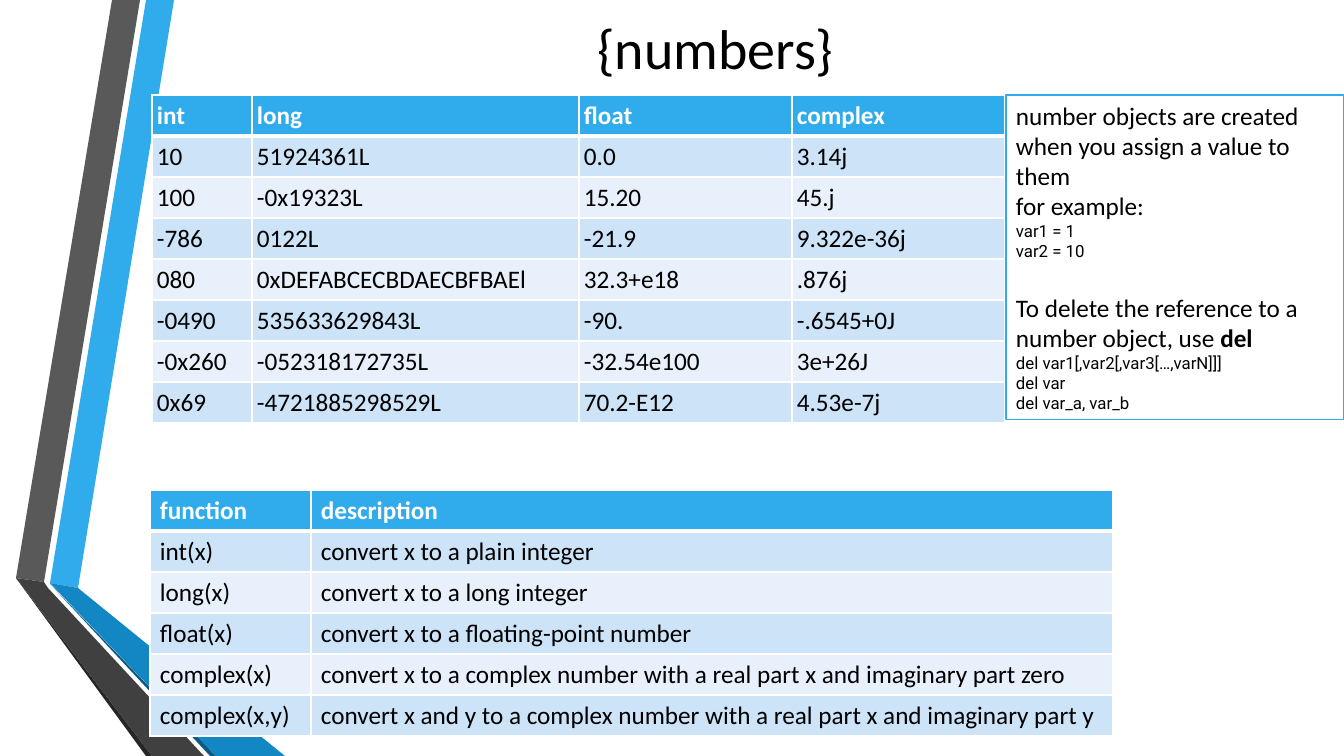
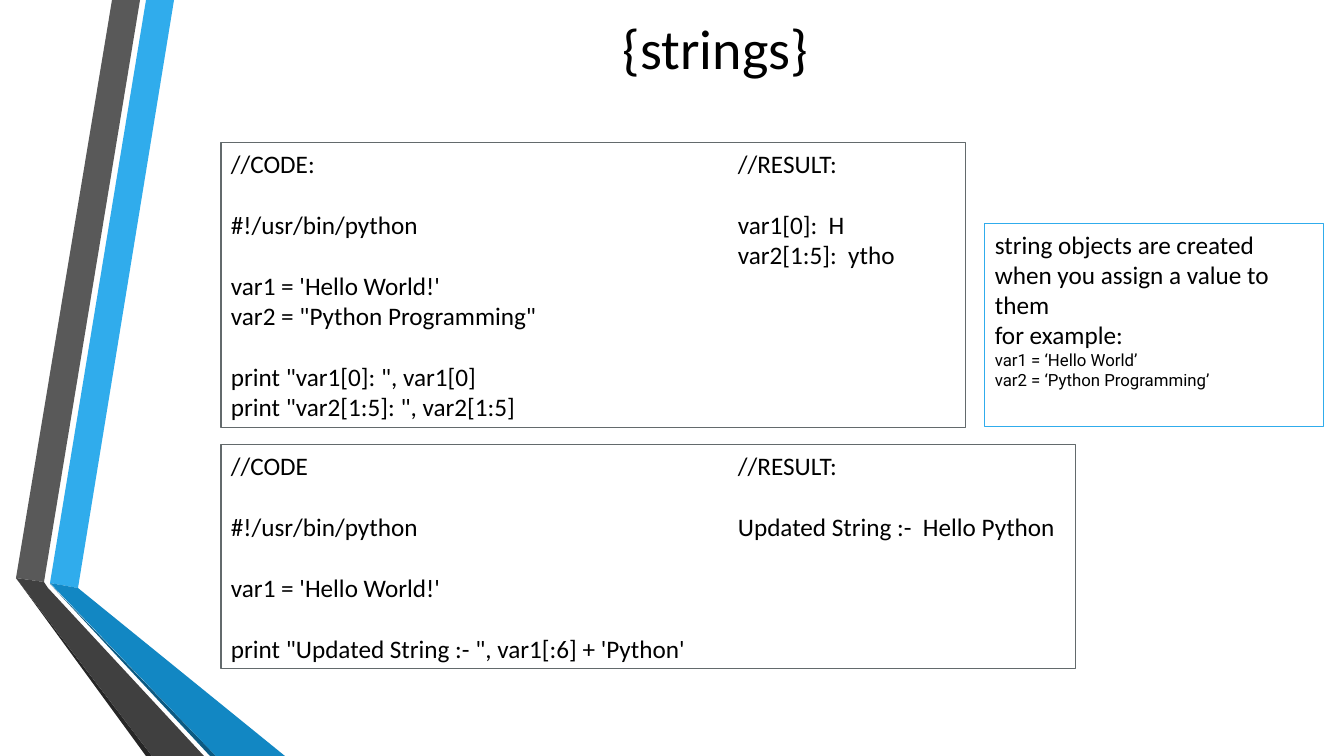
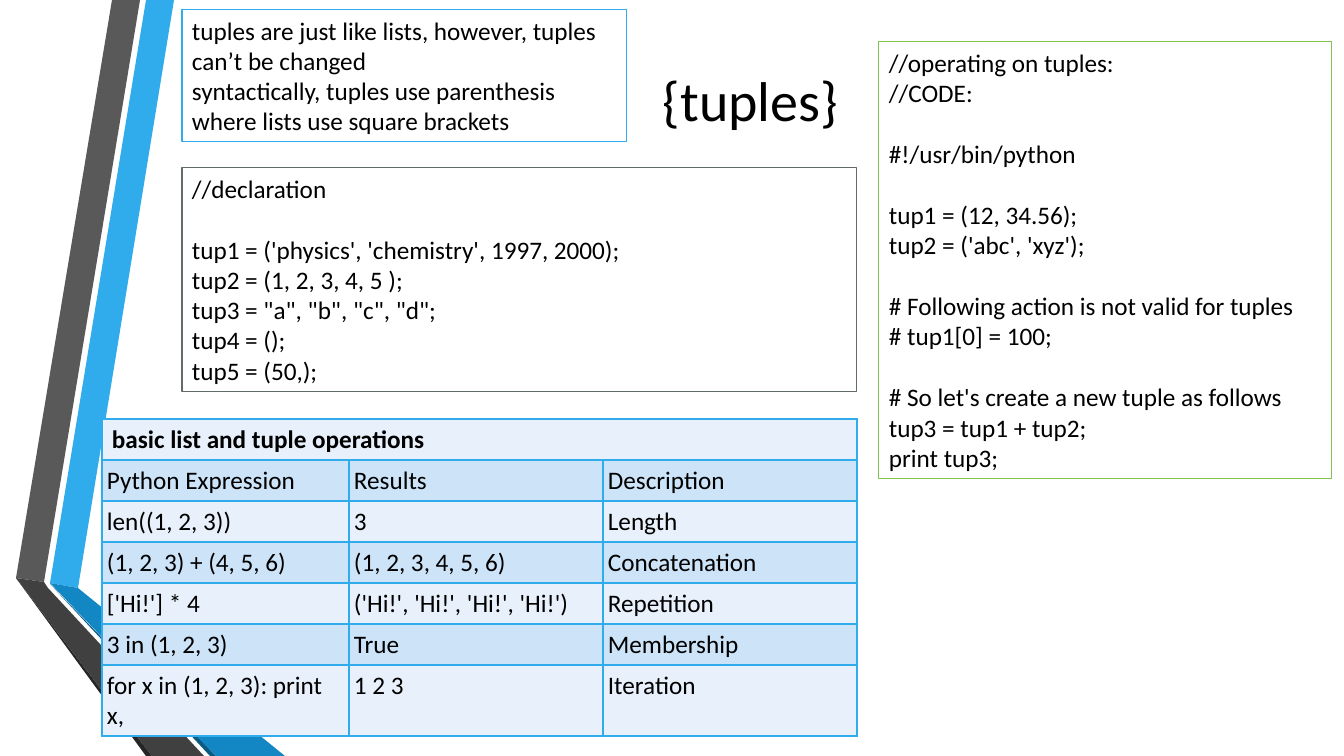
from lxml import etree
from pptx import Presentation
from pptx.dml.color import RGBColor
from pptx.enum.text import MSO_ANCHOR, PP_ALIGN
from pptx.oxml.ns import qn
from pptx.util import Pt

CENTER = PP_ALIGN.CENTER
MIDDLE = MSO_ANCHOR.MIDDLE
colour = RGBColor.from_string

PX = 914400 / 100.8  # EMU in one px
BLUE, GREY, GREEN = "30ACEC", "636A6C", "80C34F"
BLACK, WHITE = "000000", "FFFFFF"
BAND_FILLS = ("E8F1FB", "CDE3F8")
TEXT_FONT, SNIPPET_FONT = "Calibri", "Roboto"
ROW_HEIGHT = 41
LINE_GAP = Pt(22)


def add_box(page, bounds, lines, outline=None, snippet_prefixes=()):
    """Add a text box; an empty line becomes space above the next one."""
    box = page.shapes.add_textbox(*[round(length * PX) for length in bounds])
    if outline:
        box.line.color.rgb = colour(outline)
        box.line.width = Pt(0.75)
    frame = box.text_frame
    frame.word_wrap = True
    para, gap = frame.paragraphs[0], False
    for line in lines:
        if not line:
            gap = True
            continue
        if para.text:
            para = frame.add_paragraph()
        para.text = line
        is_snippet = line.startswith(tuple(snippet_prefixes))
        para.font.name = SNIPPET_FONT if is_snippet else TEXT_FONT
        para.font.size = Pt(12 if is_snippet else 18)
        para.font.color.rgb = colour(BLACK)
        if gap:
            para.space_before, gap = LINE_GAP, False
    return box


def add_table(page, left, top, widths, rows, inset, border, blue_header):
    """Add a banded table with a bold first row."""
    bounds = (left, top, sum(widths), ROW_HEIGHT * len(rows))
    frame = page.shapes.add_table(
        len(rows), len(widths), *[round(length * PX) for length in bounds])
    table = frame.table
    table.horz_banding = False
    for column, width in zip(table.columns, widths):
        column.width = round(width * PX)
    for r, texts in enumerate(rows):
        table.rows[r].height = round(ROW_HEIGHT * PX)
        is_header = blue_header and r == 0
        for c, text in enumerate(texts):
            cell = table.cell(r, c)
            cell.margin_left = cell.margin_right = round(inset * PX)
            properties = cell._tc.get_or_add_tcPr()
            for side in ("lnL", "lnR", "lnT", "lnB"):
                thick = blue_header and (r, side) in ((0, "lnB"), (1, "lnT"))
                edge = etree.SubElement(properties, qn("a:" + side),
                                        w=str(Pt(3 if thick else 1)))
                fill = etree.SubElement(edge, qn("a:solidFill"))
                etree.SubElement(fill, qn("a:srgbClr"), val=border)
            cell.fill.solid()
            cell.fill.fore_color.rgb = colour(BLUE if is_header else BAND_FILLS[r % 2])
            cell.text = text
            font = cell.text_frame.paragraphs[0].font
            font.name, font.size, font.bold = TEXT_FONT, Pt(18), r == 0
            font.color.rgb = colour(WHITE if is_header else BLACK)
    return table


deck = Presentation()
deck.slide_width, deck.slide_height = round(1344 * PX), round(756 * PX)
layout = deck.slide_layouts[5]

# Pages and titles
pages = []
for title_text, left, top in (("{numbers}", 163, 0), ("{strings}", 163, 0), ("{tuples}", 198, 52)):
    page = deck.slides.add_slide(layout)
    title = page.shapes.title
    title.left, title.top = round(left * PX), round(top * PX)
    title.width, title.height = round(1105 * PX), round(95 * PX)
    title.text_frame.text = title_text
    title.text_frame.vertical_anchor = MIDDLE
    para = title.text_frame.paragraphs[0]
    para.alignment = CENTER
    para.font.name, para.font.size = TEXT_FONT, Pt(40)
    para.font.color.rgb = colour(BLACK)
    pages.append(page)
numbers, strings, tuples = pages

# Folded ribbons, moved to the layout so that every page shows them
ribbons = (
    (BLUE, [(50, 583), (78, 588), (174, 0), (146, 0)]),
    ("595959", [(140, 0), (112, 0), (16, 578), (44, 582)]),
    ("262626", [(16, 578), (146, 756), (152, 756)]),
    ("0C5A82", [(50, 584), (210, 756), (216, 756)]),
    ("1287C3", [(50, 583), (216, 756), (285, 756), (78, 588)]),
    ("404040", [(204, 756), (48, 588), (44, 582), (16, 578), (152, 756)]),
)
for index, (fill, points) in enumerate(ribbons):
    builder = numbers.shapes.build_freeform(*points[0], scale=PX)
    builder.add_line_segments(points[1:], close=True)
    ribbon = builder.convert_to_shape()
    ribbon.shadow.inherit = False
    ribbon.fill.solid()
    ribbon.fill.fore_color.rgb = colour(fill)
    ribbon.line.fill.background()
    ribbon.element.nvSpPr.cNvPr.set("id", str(20 + index))
    layout.shapes.element.insert(2 + index, ribbon.element)

# Numbers: literals, notes and conversions
add_table(numbers, 152, 95, (100, 327, 213, 213), (
    ("int", "long", "float", "complex"),
    ("10", "51924361L", "0.0", "3.14j"),
    ("100", "-0x19323L", "15.20", "45.j"),
    ("-786", "0122L", "-21.9", "9.322e-36j"),
    ("080", "0xDEFABCECBDAECBFBAEl", "32.3+e18", ".876j"),
    ("-0490", "535633629843L", "-90.", "-.6545+0J"),
    ("-0x260", "-052318172735L", "-32.54e100", "3e+26J"),
    ("0x69", "-4721885298529L", "70.2-E12", "4.53e-7j"),
), inset=5, border=WHITE, blue_header=True)
notes = add_box(numbers, (1006, 95, 338, 325), (
    "number objects are created when you assign a value to them",
    "for example:",
    "var1 = 1",
    "var2 = 10",
    "",
    "To delete the reference to a number object, use ",
    "del var1[,var2[,var3[…,varN]]]",
    "del var",
    "del var_a, var_b",
), BLUE, snippet_prefixes=("var", "del"))
span = notes.text_frame.paragraphs[4].add_run()
span.text = "del"
span.font.bold = True
add_table(numbers, 150, 490, (161, 802), (
    ("function", "description"),
    ("int(x)", "convert x to a plain integer"),
    ("long(x)", "convert x to a long integer"),
    ("float(x)", "convert x to a floating-point number"),
    ("complex(x)", "convert x to a complex number with a real part x and imaginary part zero"),
    ("complex(x,y)", "convert x and y to a complex number with a real part x and imaginary part y"),
), inset=10, border=WHITE, blue_header=True)

# Strings: notes, then code beside its result
add_box(strings, (985, 224, 339, 203), (
    "string objects are created when you assign a value to them",
    "for example:",
    "var1 = ‘Hello World’",
    "var2 = ‘Python Programming’",
), BLUE, snippet_prefixes=("var",))
add_box(strings, (221, 143, 745, 285), (
    "//CODE:",
    "",
    "#!/usr/bin/python",
    "",
    "var1 = 'Hello World!'",
    'var2 = "Python Programming"',
    "",
    'print "var1[0]: ", var1[0]',
    'print "var2[1:5]: ", var2[1:5]',
), GREY)
add_box(strings, (728, 143, 300, 132),
        ("//RESULT:", "", "var1[0]:  H", "var2[1:5]:  ytho"))
add_box(strings, (221, 445, 855, 224), (
    "//CODE",
    "",
    "#!/usr/bin/python",
    "",
    "var1 = 'Hello World!'",
    "",
    "print \"Updated String :- \", var1[:6] + 'Python'",
), GREY)
add_box(strings, (728, 445, 348, 102),
        ("//RESULT:", "", "Updated String :-  Hello Python"))

# Tuples: notes, declarations, code and operations
add_box(tuples, (182, 10, 445, 132), (
    "tuples are just like lists, however, tuples can’t be changed",
    "syntactically, tuples use parenthesis where lists use square brackets",
), BLUE)
add_box(tuples, (182, 168, 675, 224), (
    "//declaration",
    "",
    "tup1 = ('physics', 'chemistry', 1997, 2000);",
    "tup2 = (1, 2, 3, 4, 5 );",
    'tup3 = "a", "b", "c", "d";',
    "tup4 = ();",
    "tup5 = (50,);",
), GREY)
add_box(tuples, (879, 42, 453, 437), (
    "//operating on tuples:",
    "//CODE:",
    "",
    "#!/usr/bin/python",
    "",
    "tup1 = (12, 34.56);",
    "tup2 = ('abc', 'xyz');",
    "",
    "# Following action is not valid for tuples",
    "# tup1[0] = 100;",
    "",
    "# So let's create a new tuple as follows",
    "tup3 = tup1 + tup2;",
    "print tup3;",
), GREEN)
operations = add_table(tuples, 102, 419, (247, 254, 254), (
    ("basic list and tuple operations", "", ""),
    ("Python Expression", "Results", "Description"),
    ("len((1, 2, 3))", "3", "Length"),
    ("(1, 2, 3) + (4, 5, 6)", "(1, 2, 3, 4, 5, 6)", "Concatenation"),
    ("['Hi!'] * 4", "('Hi!', 'Hi!', 'Hi!', 'Hi!')", "Repetition"),
    ("3 in (1, 2, 3)", "True", "Membership"),
    ("for x in (1, 2, 3): print x,", "1 2 3", "Iteration"),
), inset=5, border=BLUE, blue_header=False)
heading = operations.cell(0, 0)
heading.merge(operations.cell(0, 2))
heading.margin_left = heading.margin_right = round(10 * PX)
operations.rows[6].height = round(71 * PX)

deck.save("out.pptx")
